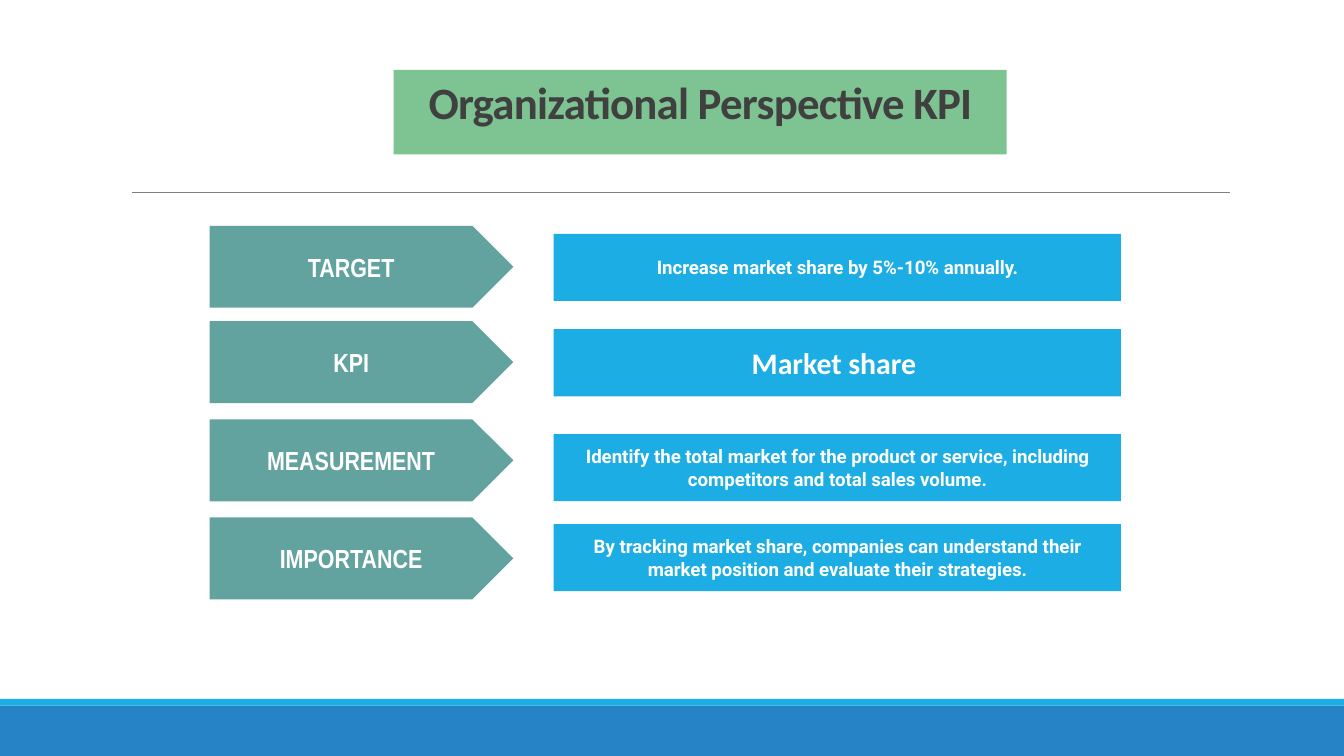
from lxml import etree
from pptx import Presentation, util as u
from pptx.dml.color import RGBColor
from pptx.enum import shapes, text
from pptx.oxml.ns import qn

WIDTH = 10
HEIGHT = WIDTH * 9 / 16
COLORS = {
    "footer": "2683C6", "accent": "1CADE4", "title": "7EC492", "label": "62A39F",
    "rule": "808080", "dark": "404040", "light": "FFFFFF",
}
FORMATS = {
    "title": {"name": "Calibri", "size": u.Pt(24), "bold": True},
    "label": {"name": "Arial Narrow", "size": u.Pt(14), "bold": True},
    "detail": {"name": "Roboto", "size": u.Pt(10), "bold": True},
    "headline": {"name": "Calibri", "size": u.Pt(16), "bold": True},
}
TITLE = "Organizational Perspective KPI"
# label, label top, detail, detail top, detail format
ROWS = [
    ("TARGET", 1.68, "Increase market share by 5%-10% annually.", 1.74, "detail"),
    ("KPI", 2.39, "Market share ", 2.45, "headline"),
    ("MEASUREMENT", 3.12, "Identify the total market for the product or service, "
     "including competitors and total sales volume.", 3.23, "detail"),
    ("IMPORTANCE", 3.85, "By tracking market share, companies can understand their "
     "market position and evaluate their strategies.", 3.9, "detail"),
]
# left, width, height of each column
LABEL_COLUMN = (1.56, 2.26, 0.61)
DETAIL_COLUMN = (4.12, 4.22, 0.5)
FOOTER_TOP, STRIPE = 5.25, 0.05
RULE_LEFT, RULE_RIGHT, RULE_TOP = 0.98, 9.15, 1.43


def color(name):
    return RGBColor.from_string(COLORS[name])


def add_block(page, left, top, width, height, fill, kind=shapes.MSO_SHAPE.RECTANGLE):
    box = page.shapes.add_shape(kind, *map(u.Inches, (left, top, width, height)))
    box.shadow.inherit = False
    box.fill.solid()
    box.fill.fore_color.rgb = color(fill)
    box.line.fill.background()
    return box


def write(box, words, style, ink="light", anchor=text.MSO_ANCHOR.MIDDLE):
    """Put one centred paragraph in the box and return its run."""
    frame = box.text_frame
    frame.word_wrap = True
    frame.vertical_anchor = anchor
    for side in ("left", "top", "right", "bottom"):
        setattr(frame, f"margin_{side}", u.Inches(0.1))
    para = frame.paragraphs[0]
    para.alignment = text.PP_ALIGN.CENTER
    span = para.add_run()
    span.text = words
    for key, value in FORMATS[style].items():
        setattr(span.font, key, value)
    span.font.color.rgb = color(ink)
    return span


def add_frame(page):
    """Draw the footer bands and the rule below the title."""
    add_block(page, 0, FOOTER_TOP, WIDTH, HEIGHT - FOOTER_TOP, "footer")
    add_block(page, 0, FOOTER_TOP - STRIPE, WIDTH, STRIPE, "accent")
    ends = map(u.Inches, (RULE_LEFT, RULE_TOP, RULE_RIGHT, RULE_TOP))
    rule = page.shapes.add_connector(shapes.MSO_CONNECTOR.STRAIGHT, *ends)
    rule.line.color.rgb = color("rule")
    rule.line.width = u.Pt(0.5)
    etree.SubElement(rule._element.spPr, qn("a:effectLst"))


def add_title(page):
    box = add_block(page, 2.93, 0.52, 4.56, 0.63, "title")
    span = write(box, TITLE, "title", "dark", text.MSO_ANCHOR.TOP)
    span._r.get_or_add_rPr().set("spc", "-40")
    box.text_frame.paragraphs[0].line_spacing = 0.85


def add_rows(page):
    for label, label_top, detail, detail_top, style in ROWS:
        left, width, height = LABEL_COLUMN
        arrow = add_block(page, left, label_top, width, height, "label",
                          shapes.MSO_SHAPE.PENTAGON)
        write(arrow, label, "label")
        left, width, height = DETAIL_COLUMN
        box = add_block(page, left, detail_top, width, height, "accent")
        write(box, detail, style)


def main():
    deck = Presentation()
    deck.slide_width, deck.slide_height = u.Inches(WIDTH), u.Inches(HEIGHT)
    page = deck.slides.add_slide(deck.slide_layouts[6])
    add_frame(page)
    add_title(page)
    add_rows(page)
    deck.save("out.pptx")


if __name__ == "__main__":
    main()
